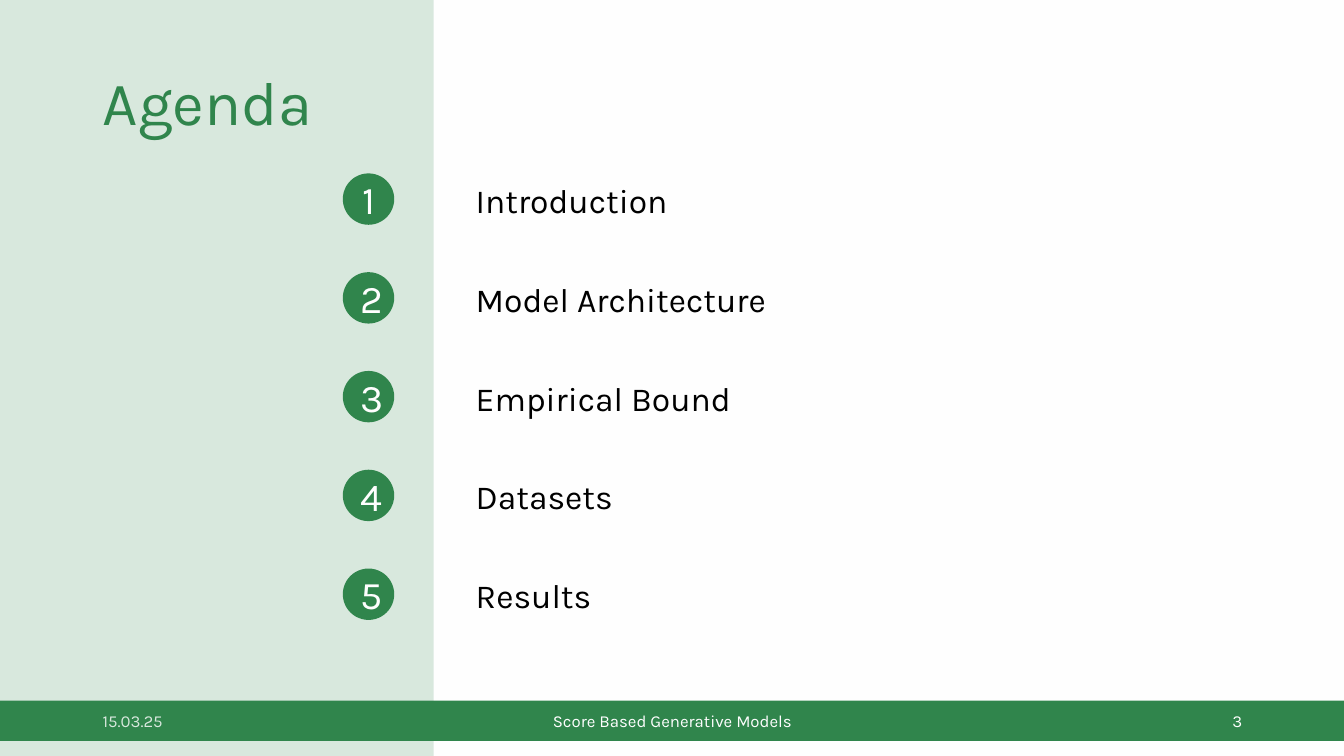
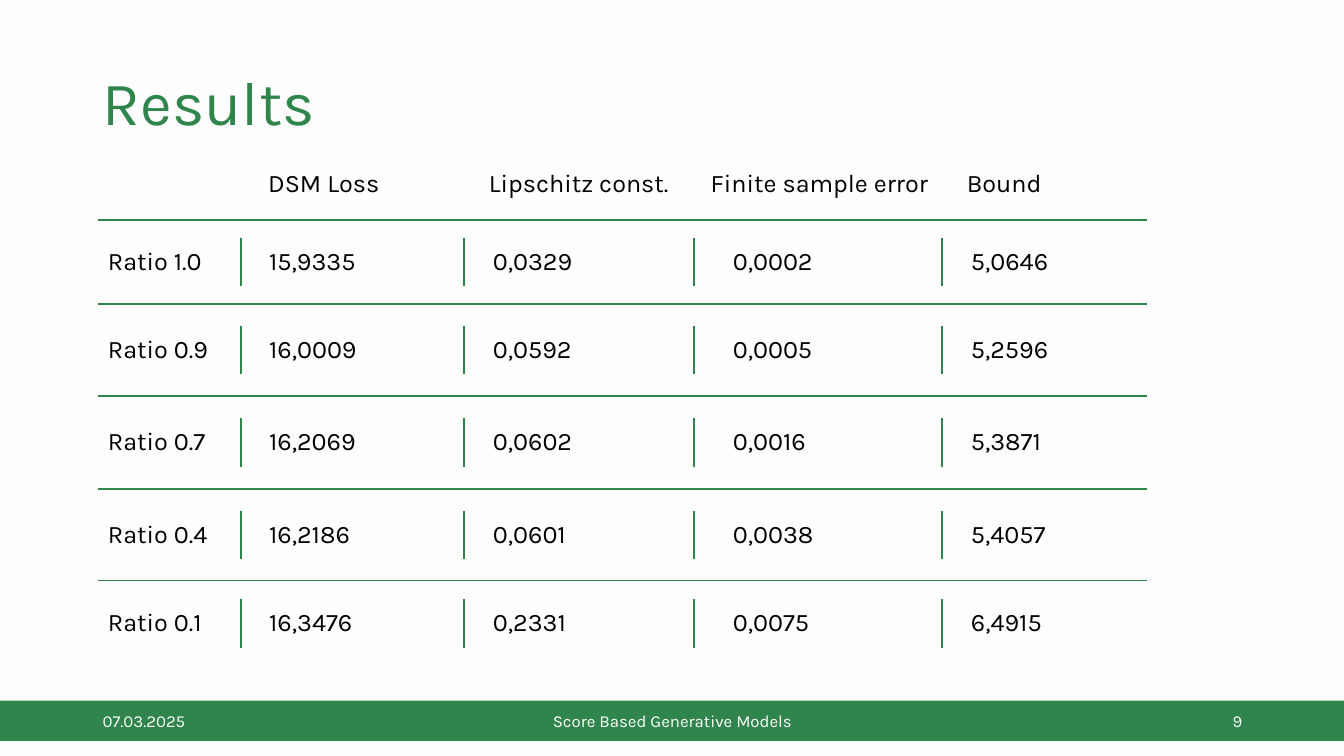
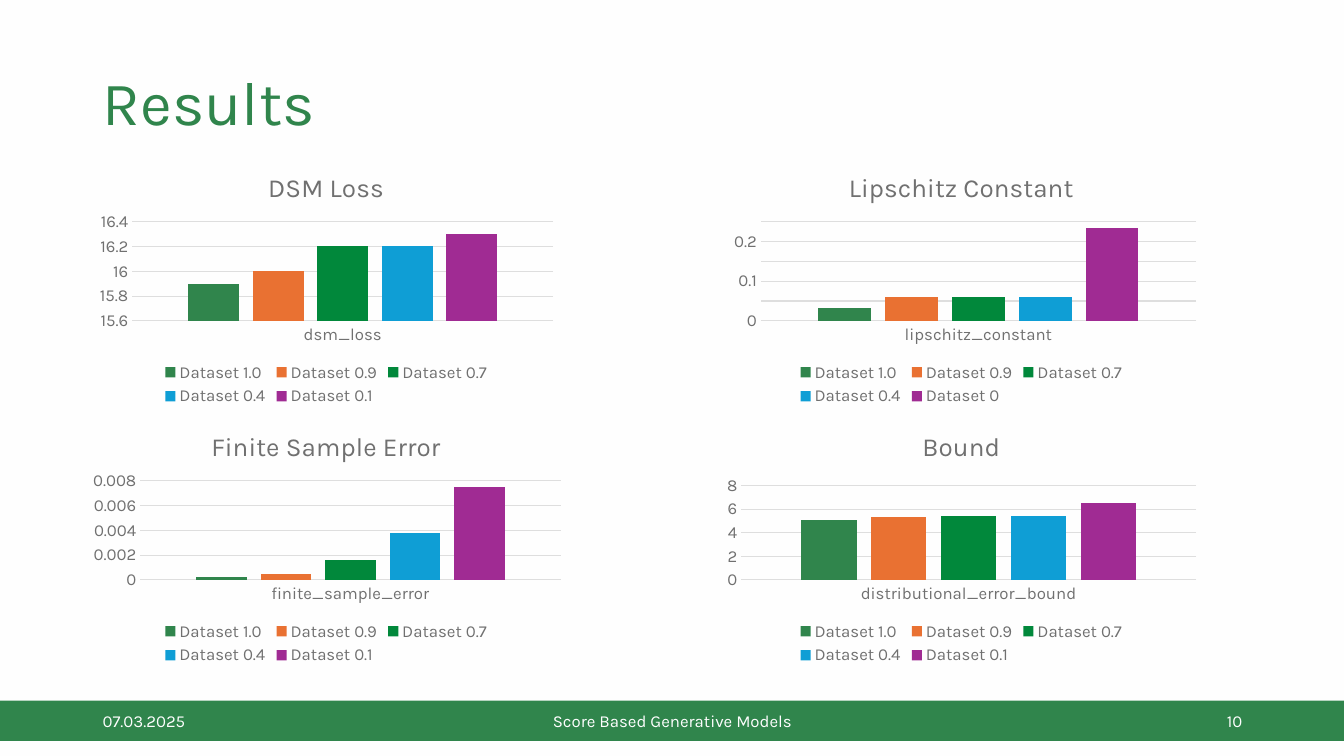
from dataclasses import dataclass

from lxml.etree import SubElement
from pptx import Presentation
from pptx.chart.data import CategoryChartData
from pptx.dml.color import RGBColor
from pptx.enum.chart import XL_CHART_TYPE, XL_LEGEND_POSITION, XL_TICK_MARK
from pptx.enum.shapes import MSO_CONNECTOR, MSO_SHAPE
from pptx.enum.text import MSO_ANCHOR, MSO_AUTO_SIZE, PP_ALIGN
from pptx.oxml import parse_xml
from pptx.oxml.ns import nsdecls, qn
from pptx.util import Inches, Pt


@dataclass(frozen=True)
class Theme:
    font: str = "Karla"
    green: str = "30854C"
    paper: str = "FEFEFE"
    ink: str = "000000"
    chart_ink: str = "232323"
    grey: str = "707070"
    grid: str = "DEDEDE"
    series: tuple = ("30854C", "E97132", "01883B", "0F9ED5", "A02B93")
    title: float = 44
    number: float = 28
    agenda: float = 24
    table: float = 18
    chart_title: float = 18.6
    small: float = 12
    chart_base: float = 10
    rule: float = 1.5
    hairline: float = 0.75


NO_STYLE_TABLE = "{2D5ABB26-0587-4C30-8999-92F81FD0307C}"


def assign(target, values):
    for name, value in values.items():
        setattr(target, name, value)


def inches(*lengths):
    return [Inches(n) for n in lengths]


class Deck:
    """Holds the theme, the presentation and the slide being filled."""

    def __init__(self, theme):
        self.theme = theme
        self.prs = Presentation()
        assign(self.prs, {"slide_width": Inches(13.33), "slide_height": Inches(7.5)})
        self.paint(self.prs.slide_master.background.fill, theme.paper)
        self.s = None

    def paint(self, fill, color):
        fill.solid()
        fill.fore_color.rgb = RGBColor.from_string(color)

    def stroke(self, line, color, width):
        self.paint(line.fill, color)
        line.width = Pt(width)

    def style(self, font, size, color):
        assign(font, {"name": self.theme.font, "size": Pt(size), "bold": False})
        font.color.rgb = RGBColor.from_string(color)

    def add_run(self, tf, text, size, color, align=PP_ALIGN.LEFT):
        p = tf.paragraphs[0]
        p.alignment = align
        r = p.add_run()
        r.text = text
        self.style(r.font, size, color)
        return p

    def new_slide(self, title, date, number):
        """Start a slide with its band, title and footer."""
        t = self.theme
        self.s = self.prs.slides.add_slide(self.prs.slide_layouts[5])
        self.shape(MSO_SHAPE.RECTANGLE, -0.18, 6.95, 13.62, 0.4)
        sp = self.s.shapes.title
        assign(sp, dict(zip(("left", "top", "width", "height"),
                            inches(0.92, 0.59, 11.5, 0.91))))
        assign(sp.text_frame, {"vertical_anchor": MSO_ANCHOR.MIDDLE,
                               "auto_size": MSO_AUTO_SIZE.NONE})
        self.add_run(sp.text_frame, title, t.title, t.green).line_spacing = 0.9
        for text, left, width, align in (
                (date, 0.92, 3, PP_ALIGN.LEFT),
                ("Score Based Generative Models", 4.42, 4.5, PP_ALIGN.CENTER),
                (number, 9.42, 3, PP_ALIGN.RIGHT)):
            self.text(text, left, 6.95, width, 0.4, t.small, t.paper, align)

    def text(self, text, left, top, width, height, size, color, align=PP_ALIGN.LEFT):
        sp = self.s.shapes.add_textbox(*inches(left, top, width, height))
        assign(sp.text_frame, {"word_wrap": True, "vertical_anchor": MSO_ANCHOR.MIDDLE})
        self.add_run(sp.text_frame, text, size, color, align)

    def shape(self, kind, left, top, width, height, opacity=None):
        sp = self.s.shapes.add_shape(kind, *inches(left, top, width, height))
        sp.shadow.inherit = False
        self.paint(sp.fill, self.theme.green)
        sp.line.fill.background()
        if opacity:
            color = sp._element.spPr.find(".//" + qn("a:srgbClr"))
            SubElement(color, qn("a:alpha"), val=str(opacity * 1000))
        return sp

    def badge(self, text, left, top, size):
        sp = self.shape(MSO_SHAPE.OVAL, left, top, size, size)
        sp.text_frame.vertical_anchor = MSO_ANCHOR.MIDDLE
        self.add_run(sp.text_frame, text, self.theme.number, self.theme.paper,
                     PP_ALIGN.CENTER)

    def line(self, x1, y1, x2, y2):
        cx = self.s.shapes.add_connector(MSO_CONNECTOR.STRAIGHT, *inches(x1, y1, x2, y2))
        self.stroke(cx.line, self.theme.green, self.theme.rule)
        SubElement(cx._element.spPr, qn("a:effectLst"))

    def table(self, rows, xs, ys, head_indents, indents):
        """Place rows between the edges xs and ys, with a rule under all but the last."""
        t = self.theme
        frame = self.s.shapes.add_table(
            len(rows), len(xs) - 1,
            *inches(xs[0], ys[0], xs[-1] - xs[0], ys[-1] - ys[0]))
        table = frame.table
        assign(table, {"first_row": False, "horz_banding": False})
        table._tbl.tblPr.find(qn("a:tableStyleId")).text = NO_STYLE_TABLE
        for col, a, b in zip(table.columns, xs, xs[1:]):
            col.width = Inches(b - a)
        for row, a, b in zip(table.rows, ys, ys[1:]):
            row.height = Inches(b - a)
        for i, row in enumerate(rows):
            for j, text in enumerate(row):
                cell = table.cell(i, j)
                indent = (indents if i else head_indents)[j]
                assign(cell, {"margin_left": Inches(indent), "margin_right": 0,
                              "vertical_anchor": MSO_ANCHOR.MIDDLE})
                cell.fill.background()
                if text:
                    self.add_run(cell.text_frame, text, t.table, t.ink)
                if i < len(rows) - 1:
                    self.bottom_border(cell)

    def bottom_border(self, cell):
        t = self.theme
        cell._tc.get_or_add_tcPr().insert(0, parse_xml(
            f'<a:lnB {nsdecls("a")} w="{Pt(t.rule)}"><a:solidFill>'
            f'<a:srgbClr val="{t.green}"/></a:solidFill></a:lnB>'))

    def column_chart(self, box, title, category, series, scale, plot, number_format):
        """scale is minimum, maximum and step; plot is left, top and height as shares."""
        t = self.theme
        data = CategoryChartData(number_format=number_format)
        data.categories = [category]
        for name, value in series:
            data.add_series(name, [value])
        chart = self.s.shapes.add_chart(
            XL_CHART_TYPE.COLUMN_CLUSTERED, *inches(*box), data).chart
        self.style(chart.font, t.chart_base, t.chart_ink)
        self.add_run(chart.chart_title.text_frame, title, t.chart_title, t.grey,
                     PP_ALIGN.CENTER)
        chart.chart_title.include_in_layout = False

        chart.has_legend = True
        assign(chart.legend, {"position": XL_LEGEND_POSITION.BOTTOM,
                              "include_in_layout": False})
        self.style(chart.legend.font, t.small, t.grey)

        bars = chart.plots[0]
        assign(bars, {"gap_width": 219, "overlap": -27, "vary_by_categories": False})
        for ser, color in zip(bars.series, t.series):
            self.paint(ser.format.fill, color)

        for axis in (chart.category_axis, chart.value_axis):
            assign(axis, {"major_tick_mark": XL_TICK_MARK.NONE,
                          "minor_tick_mark": XL_TICK_MARK.NONE})
            self.style(axis.tick_labels.font, t.small, t.grey)
        self.stroke(chart.category_axis.format.line, t.grid, t.hairline)
        axis = chart.value_axis
        assign(axis, dict(zip(("minimum_scale", "maximum_scale", "major_unit"), scale)))
        axis.format.line.fill.background()
        self.stroke(axis.major_gridlines.format.line, t.grid, t.hairline)
        assign(axis.tick_labels, {"number_format": number_format,
                                  "number_format_is_linked": False})
        self.plot_layout(chart, *plot)

    def plot_layout(self, chart, left, top, height):
        """Fix the inner plot area, which ends at 98 % of the chart's width."""
        area = chart._chartSpace.find(".//" + qn("c:plotArea"))
        layout = area.find(qn("c:layout"))
        if layout is None:
            layout = parse_xml(f'<c:layout {nsdecls("c")}/>')
            area.insert(0, layout)
        manual = SubElement(layout, qn("c:manualLayout"))
        for tag, value in (("layoutTarget", "inner"), ("xMode", "edge"),
                           ("yMode", "edge"), ("x", left), ("y", top),
                           ("w", round(0.98 - left, 2)), ("h", height)):
            SubElement(manual, qn("c:" + tag), val=str(value))


def agenda_slide(deck):
    t = deck.theme
    deck.new_slide("Agenda", "15.03.25", "3")
    deck.shape(MSO_SHAPE.RECTANGLE, -0.31, -0.11, 4.61, 8.01, opacity=18)
    topics = ("Introduction", "Model Architecture", "Empirical Bound", "Datasets",
              "Results")
    for i, topic in enumerate(topics):
        top = 1.72 + 0.98 * i
        deck.badge(str(i + 1), 3.4, top, 0.51)
        deck.text(topic, 4.62, top - 0.07, 6.79, 0.67, t.agenda, t.ink)


def table_slide(deck):
    deck.new_slide("Results", "07.03.2025", "9")
    rows = (
        ("", "DSM Loss", "Lipschitz const.", "Finite sample error", "Bound"),
        ("Ratio 1.0", "15,9335", "0,0329", "0,0002", "5,0646"),
        ("Ratio 0.9", "16,0009", "0,0592", "0,0005", "5,2596"),
        ("Ratio 0.7", "16,2069", "0,0602", "0,0016", "5,3871"),
        ("Ratio 0.4", "16,2186", "0,0601", "0,0038", "5,4057"),
        ("Ratio 0.1", "16,3476", "0,2331", "0,0075", "6,4915"),
    )
    xs = (0.97, 2.39, 4.6, 6.88, 9.34, 11.38)
    ys = (1.47, 2.18, 3.02, 3.93, 4.85, 5.76, 6.61)
    deck.table(rows, xs, ys, head_indents=(0.1, 0.27, 0.25, 0.17, 0.25),
               indents=(0.1, 0.28, 0.29, 0.39, 0.29))
    for x in xs[1:-1]:
        for top, bottom in zip(ys[1:], ys[2:]):
            middle = (top + bottom) / 2
            deck.line(x, middle - 0.24, x, middle + 0.24)


def chart_slide(deck):
    deck.new_slide("Results", "07.03.2025", "10")
    names = [f"Dataset {ratio}" for ratio in ("1.0", "0.9", "0.7", "0.4", "0.1")]
    upper, lower, height = 1.54, 4.11, 2.53
    charts = (
        ((0.89, upper, 4.69, height), "DSM Loss", "dsm_loss", names,
         (15.9, 16, 16.2, 16.2, 16.3), (15.6, 16.4, 0.2), (0.09, 0.26, 0.39), "General"),
        ((7.11, upper, 4.85, height), "Lipschitz Constant", "lipschitz_constant",
         names[:-1] + ["Dataset 0"], (0.033, 0.059, 0.06, 0.06, 0.233),
         (0, 0.25, 0.05), (0.09, 0.26, 0.39), "General"),
        ((7.11, lower, 4.85, height), "Bound", "distributional_error_bound", names,
         (5.1, 5.3, 5.4, 5.4, 6.5), (0, 8, 2), (0.05, 0.28, 0.37), "#,##0"),
        ((0.81, lower, 4.85, height), "Finite Sample Error", "finite_sample_error", names,
         (0.0002, 0.0005, 0.0016, 0.0038, 0.0075), (0, 0.008, 0.002),
         (0.12, 0.26, 0.39), "General"),
    )
    for box, title, category, labels, values, scale, plot, number_format in charts:
        deck.column_chart(box, title, category, zip(labels, values), scale, plot,
                          number_format)


def main():
    deck = Deck(Theme())
    agenda_slide(deck)
    table_slide(deck)
    chart_slide(deck)
    deck.prs.save("out.pptx")


if __name__ == "__main__":
    main()
